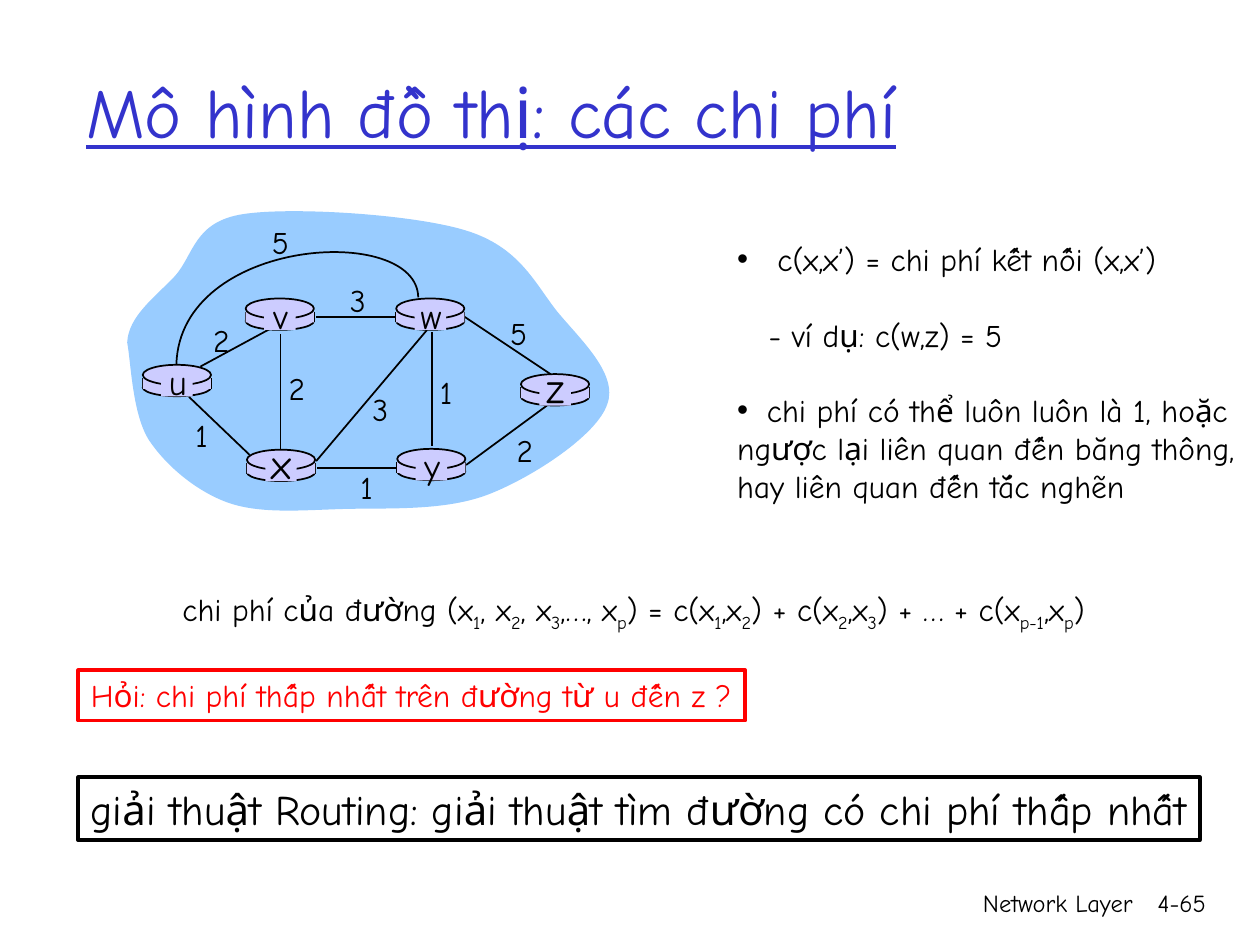
from lxml import etree
from pptx import Presentation
from pptx.dml.color import RGBColor
from pptx.enum.shapes import MSO_CONNECTOR, MSO_SHAPE
from pptx.enum.text import MSO_ANCHOR, MSO_AUTO_SIZE, PP_ALIGN
from pptx.oxml.ns import qn
from pptx.util import Pt

BLACK = RGBColor(0x00, 0x00, 0x00)
RED = RGBColor(0xFF, 0x00, 0x00)
BLUE = RGBColor(0x33, 0x33, 0xCC)
SKY = RGBColor(0x99, 0xCC, 0xFF)
LILAC = RGBColor(0xCC, 0xCC, 0xFF)
FONT = "Comic Neue"
LEFT, MID, RIGHT = PP_ALIGN.LEFT, PP_ALIGN.CENTER, PP_ALIGN.RIGHT
TOP, CENTRE = MSO_ANCHOR.TOP, MSO_ANCHOR.MIDDLE
FIXED = MSO_AUTO_SIZE.NONE
RECT, OVAL = MSO_SHAPE.RECTANGLE, MSO_SHAPE.OVAL
STRAIGHT = MSO_CONNECTOR.STRAIGHT

CLOUD = [
    (72.7, 195.8),
    (73.4, 180.7), (88.6, 169.9), (100.1, 157.7),
    (110.9, 145.4), (110.9, 126.7), (139, 122.4),
    (166.3, 118.1), (236.2, 122.4), (266.4, 131.8),
    (296.6, 141.1), (305.3, 161.3), (318.2, 177.8),
    (331.9, 194.4), (353.5, 213.8), (347, 231.1),
    (341.3, 248.4), (305.3, 272.2), (280.1, 282.2),
    (254.9, 292.3), (221.8, 290.2), (196.6, 290.9),
    (172.1, 291.6), (149, 293.8), (130.3, 287.3),
    (112.3, 280.8), (95, 266.4), (85, 251.3),
    (75.6, 236.2), (74.9, 207.4), (72.7, 195.8),
]
ARC = [(239, 169.9), (238.3, 127.4), (103, 135.4), (100.8, 208.1)]
EDGES = [
    (114.5, 209.5, 157, 186.5),
    (247, 190, 247, 255),
    (160.3, 190.8, 160.3, 257.8),
    (180.7, 263.5, 244, 188.6),
    (266.4, 265.7, 312.5, 231.8),
    (181.4, 267.4, 227.5, 267.4),
    (142.6, 259.9, 108, 226.8),
    (180.7, 181.2, 226.8, 181.2),
    (265, 180.7, 314.6, 213.8),
]
COSTS = [
    ("2", 126.4, 180), ("2", 169.6, 207.4), ("1", 115.2, 234),
    ("3", 217.4, 219.6), ("1", 209.5, 263.8), ("1", 254.9, 209.5),
    ("2", 299.9, 242.6), ("5", 296.3, 175.7), ("3", 204.5, 157),
    ("5", 160.2, 123.8),
]
NODES = [
    ("u", 81.6, 208.5, 20), ("x", 141.1, 257, 24), ("v", 140.4, 170.6, 20),
    ("w", 226.4, 170.6, 20), ("y", 227, 256.5, 20), ("z", 297.7, 213.8, 24),
]
POINTS = [
    ("c(x,x’) = chi phí kết nối (x,x’)", "•", 23, 0),
    ("- ví dụ: c(w,z) = 5", None, 18, 21.6),
    ("chi phí có thể luôn luôn là 1, hoặc", "•", 17, 21.6),
    ("ngược lại liên quan đến băng thông,", None, 0, 0),
    ("hay liên quan đến tắc nghẽn", None, 0, 0),
]
SUM = [
    ("chi phí của đường (x", "1"), (", x", "2"), (", x", "3"),
    (",…, x", "p"), (") = c(x", "1"), (",x", "2"), (") + c(x", "2"),
    (",x", "3"), (") + … + c(x", "p-1"), (",x", "p"), (")", ""),
]


def place(shape, x, y, w, h):
    shape.left, shape.top, shape.width, shape.height = map(Pt, (x, y, w, h))


def add_run(para, text, size, color=BLACK):
    run = para.add_run()
    run.text = text
    font = run.font
    font.name, font.size = FONT, Pt(size)
    font.color.rgb = color
    return run


def set_frame(frame, align=LEFT, anchor=TOP):
    frame.auto_size = FIXED
    frame.word_wrap = align != MID
    frame.vertical_anchor = anchor
    frame.margin_left = Pt(7.2)
    frame.margin_right = Pt(0 if align == LEFT else 7.2)
    frame.margin_top = frame.margin_bottom = Pt(3.6)
    para = frame.paragraphs[0]
    para.alignment = align
    return para


def add_text(slide, text, x, y, w, h, size, align=LEFT):
    box = slide.shapes.add_textbox(Pt(x), Pt(y), Pt(w), Pt(h))
    para = set_frame(box.text_frame, align)
    if text:
        add_run(para, text, size)
    return para


def paint(shape, fill=None, line=None, width=1):
    shape.shadow.inherit = False
    if fill is None:
        shape.fill.background()
    else:
        shape.fill.solid()
        shape.fill.fore_color.rgb = fill
    if line is None:
        shape.line.fill.background()
    else:
        shape.line.color.rgb = line
        shape.line.width = Pt(width)


def add_block(slide, kind, x, y, w, h, **style):
    shape = slide.shapes.add_shape(kind, Pt(x), Pt(y), Pt(w), Pt(h))
    paint(shape, **style)
    return shape


def add_line(slide, *ends):
    line = slide.shapes.add_connector(STRAIGHT, *map(Pt, ends))
    line.line.color.rgb = BLACK
    line.line.width = Pt(1)
    etree.SubElement(line._element.spPr, qn("a:effectLst"))


def add_curve(slide, knots, close, **style):
    first, *rest = [(Pt(x), Pt(y)) for x, y in knots]
    pen = slide.shapes.build_freeform(*first)
    pen.add_line_segments(rest, close=close)
    shape = pen.convert_to_shape()
    parts = list(shape._element.iter(qn("a:lnTo")))
    for i in range(0, len(rest), 3):
        bend = etree.Element(qn("a:cubicBezTo"))
        parts[i].addprevious(bend)
        for part in parts[i:i + 3]:
            bend.append(part[0])
            part.getparent().remove(part)
    paint(shape, **style)


def add_node(slide, name, x, y, size):
    add_block(slide, OVAL, x, y + 7.9, 39, 10, fill=LILAC, line=BLACK)
    for side in (x, x + 39):
        add_line(slide, side, y + 7.5, side, y + 13.7)
    add_block(slide, RECT, x, y + 7.5, 39, 6.2, fill=LILAC)
    add_block(slide, OVAL, x, y, 39, 11.5, fill=LILAC, line=BLACK)
    add_block(slide, RECT, x + 10.5, y + 1.5, 18, 16.5, fill=LILAC)
    rise = 6 if size == 20 else 10.5
    add_text(slide, name, x + 0.5, y - rise, 39, size * 1.2 + 7.2, size, MID)


def add_graph(slide):
    add_curve(slide, CLOUD, True, fill=SKY)
    for ends in EDGES:
        add_line(slide, *ends)
    add_curve(slide, ARC, False, line=BLACK)
    for node in NODES:
        add_node(slide, *node)
    for cost, x, y in COSTS:
        add_text(slide, cost, x - 12, y, 24, 28.8, 18, MID)


def add_list(body):
    place(body, 414, 133.5, 306, 158.4)
    frame = body.text_frame
    para = set_frame(frame)
    for i, (text, mark, indent, gap) in enumerate(POINTS):
        if i:
            para = frame.add_paragraph()
        props = para._p.get_or_add_pPr()
        props.set("marL", str(Pt(indent)))
        props.set("indent", str(Pt(-indent if mark else 0)))
        if mark:
            etree.SubElement(props, qn("a:buChar")).set("char", mark)
        else:
            etree.SubElement(props, qn("a:buNone"))
        para.alignment = LEFT
        para.space_before = Pt(gap)
        add_run(para, text, 18)


def add_sum(slide):
    para = add_text(slide, "", 97.2, 333.4, 560, 31.7, 18)
    for term, index in SUM:
        add_run(para, term, 18)
        if index:
            run = add_run(para, index, 18)
            run.font._element.set("baseline", "-25000")


def add_note(slide, text, y, w, h, size, color):
    box = add_block(slide, RECT, 44.8, y, w, h, line=color, width=2.25)
    add_run(set_frame(box.text_frame, anchor=CENTRE), text, size, color)


def main():
    deck = Presentation()
    deck.slide_width, deck.slide_height = Pt(720), Pt(540)
    slide = deck.slides.add_slide(deck.slide_layouts[1])
    title, body = slide.placeholders
    place(title, 42, 18, 612, 90)
    para = set_frame(title.text_frame, anchor=CENTRE)
    add_run(para, "Mô hình đồ thị: các chi phí", 40, BLUE).font.underline = True
    add_graph(slide)
    add_list(body)
    add_sum(slide)
    add_note(slide, "Hỏi: chi phí thấp nhất trên đường từ u đến z ?",
             383, 381, 28.8, 18, RED)
    add_note(slide, "giải thuật Routing: giải thuật tìm đường có chi phí thấp nhất",
             444.2, 640.8, 36, 24, BLACK)
    add_text(slide, "Network Layer", 426.2, 504, 228.2, 36, 14, RIGHT)
    add_text(slide, "4-65", 643, 504, 53.3, 36, 14, RIGHT)
    deck.save("out.pptx")


if __name__ == "__main__":
    main()
